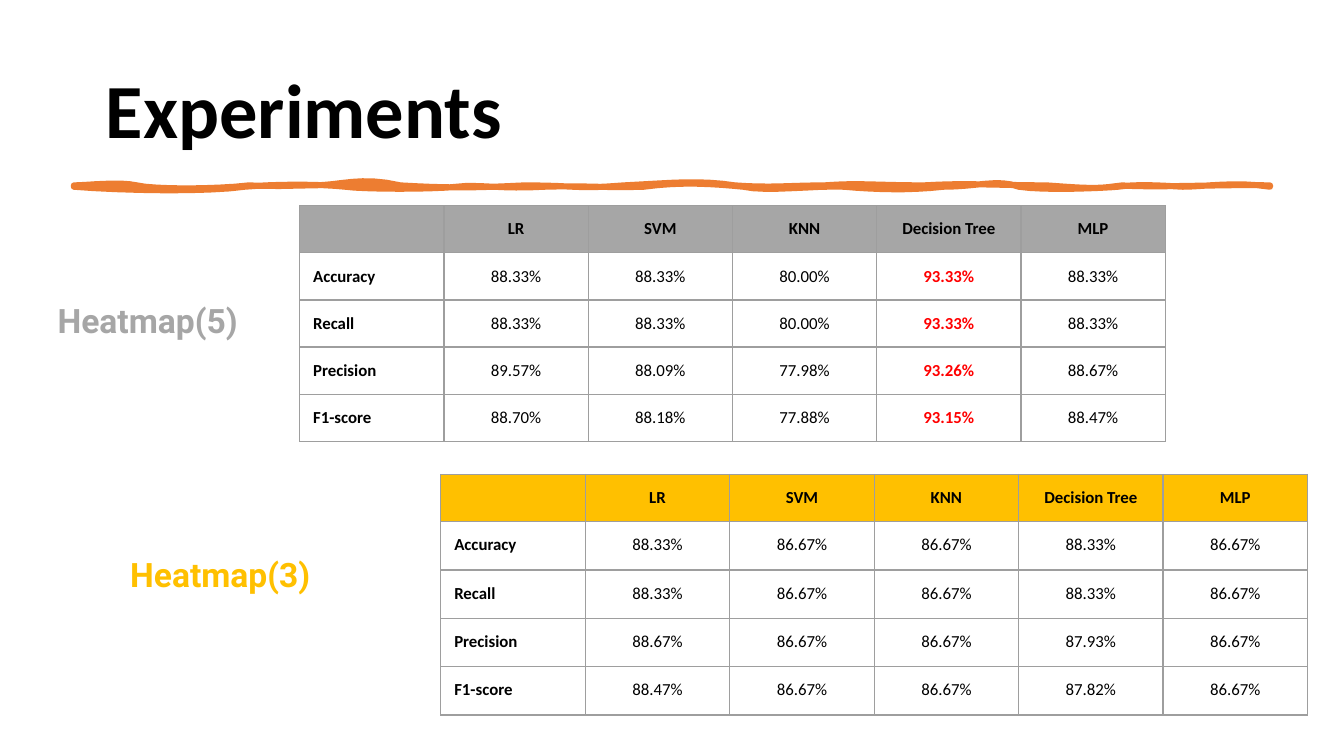
from lxml.etree import SubElement
from pptx import Presentation
from pptx.dml.color import RGBColor
from pptx.enum.text import MSO_ANCHOR, PP_ALIGN
from pptx.oxml.ns import qn
from pptx.util import Inches, Pt

ORANGE, GREY, YELLOW = "ED7D31", "A6A6A6", "FFC000"
BLACK, WHITE, RED, BORDER = "000000", "FFFFFF", "FF0000", "9E9E9E"

MODELS = ["", "LR", "SVM", "KNN", "Decision Tree", "MLP"]
HEATMAP_5 = [
    MODELS,
    ["Accuracy", "88.33%", "88.33%", "80.00%", "93.33%", "88.33%"],
    ["Recall", "88.33%", "88.33%", "80.00%", "93.33%", "88.33%"],
    ["Precision", "89.57%", "88.09%", "77.98%", "93.26%", "88.67%"],
    ["F1-score", "88.70%", "88.18%", "77.88%", "93.15%", "88.47%"],
]
HEATMAP_3 = [
    MODELS,
    ["Accuracy", "88.33%", "86.67%", "86.67%", "88.33%", "86.67%"],
    ["Recall", "88.33%", "86.67%", "86.67%", "88.33%", "86.67%"],
    ["Precision", "88.67%", "86.67%", "86.67%", "87.93%", "86.67%"],
    ["F1-score", "88.47%", "86.67%", "86.67%", "87.82%", "86.67%"],
]
UPPER_EDGE = [
    (0.64, 1.38, 0.89, 1.35, 1.02), (1.14, 1.41, 1.6, 1.41, 1.85),
    (2.13, 1.39, 2.16, 1.38, 2.33), (2.54, 1.38, 2.68, 1.31, 2.98),
    (3.31, 1.4, 3.52, 1.4, 3.9), (4.31, 1.38, 4.28, 1.41, 4.64),
    (5.03, 1.36, 5.2, 1.34, 5.47), (5.73, 1.4, 5.88, 1.38, 6.13),
    (6.41, 1.36, 6.51, 1.38, 6.87), (7.21, 1.36, 7.41, 1.38, 7.79),
    (8.17, 1.41, 8.19, 1.4, 8.35), (8.55, 1.4, 9.13, 1.37, 9.45),
]
LOWER_EDGE = [
    (9.2, 1.35, 8.95, 1.39, 8.8), (8.63, 1.38, 8.45, 1.37, 8.32),
    (8.22, 1.4, 7.77, 1.42, 7.58), (7.43, 1.33, 7.27, 1.39, 7.02),
    (6.76, 1.42, 6.5, 1.41, 6.28), (6.07, 1.38, 5.7, 1.43, 5.53),
    (5.32, 1.37, 5.08, 1.35, 4.79), (4.5, 1.4, 4.35, 1.38, 4.05),
    (3.74, 1.41, 3.56, 1.37, 3.4), (3.23, 1.41, 2.71, 1.41, 2.57),
    (2.38, 1.37, 2.06, 1.37, 1.82), (1.56, 1.43, 0.91, 1.42, 0.55),
]


def rgb(value):
    return RGBColor.from_string(value)


def edge_points(x, y, curves, steps=8):
    points = [(Inches(x), Inches(y))]
    for x1, y1, x2, y2, end in curves:
        for i in range(1, steps + 1):
            t = i / steps
            a, b, c, d = (1 - t) ** 3, 3 * t * (1 - t) ** 2, 3 * t * t * (1 - t), t ** 3
            points.append((Inches(a * x + b * x1 + c * x2 + d * end),
                           Inches(a * y + b * y1 + c * y2 + d * y)))
        x = end
    return points


class Deck:
    """Holds the style and the slide being filled."""

    def __init__(self, s, font="Calibri", accent_font="Roboto"):
        self.s, self.font, self.accent_font = s, font, accent_font

    def style(self, p, size, color, font, bold=True):
        p.font.size, p.font.name, p.font.bold = Pt(size), font, bold
        p.font.color.rgb = rgb(color)

    def text(self, words, box, size, color, font, inset=0.1):
        tf = self.s.shapes.add_textbox(*map(Inches, box)).text_frame
        tf.word_wrap = True
        tf.margin_top = tf.margin_bottom = Inches(inset)
        tf.margin_left = tf.margin_right = Inches(0.1)
        p = tf.paragraphs[0]
        p.text = words
        self.style(p, size, color, font)
        return tf

    def title(self, words, box):
        tf = self.text(words, box, 41, BLACK, self.font, 0.05)
        tf.vertical_anchor = MSO_ANCHOR.MIDDLE
        tf.paragraphs[0].line_spacing = 0.9

    def label(self, words, box, color):
        self.text(words, box, 18, color, self.accent_font)

    def brush_stroke(self, points, color):
        start, *rest = points
        builder = self.s.shapes.build_freeform(*start)
        builder.add_line_segments(rest, close=True)
        sp = builder.convert_to_shape()
        sp.shadow.inherit = False
        sp.fill.solid()
        sp.fill.fore_color.rgb = sp.line.color.rgb = rgb(color)
        sp.line.width = Pt(3.25)

    def border(self, cell):
        tc_pr = cell._tc.get_or_add_tcPr()
        for side in ("a:lnL", "a:lnR", "a:lnT", "a:lnB"):
            ln = SubElement(tc_pr, qn(side), w=str(Pt(0.75)))
            SubElement(SubElement(ln, qn("a:solidFill")), qn("a:srgbClr"), val=BORDER)

    def table(self, rows, left, top, width, heights, header, best=None):
        n = len(rows[0])
        box = map(Inches, (left, top, width, sum(heights)))
        table = self.s.shapes.add_table(len(rows), n, *box).table
        for column in table.columns:
            column.width = Inches(width / n)
        for i, row in enumerate(rows):
            table.rows[i].height = Inches(heights[i])
            for j, words in enumerate(row):
                color = RED if i and j == best else BLACK
                bold = i == 0 or j == 0 or j == best
                self.cell(table.cell(i, j), words, WHITE if i else header,
                          color, bold, PP_ALIGN.CENTER if j else PP_ALIGN.LEFT)

    def cell(self, cell, words, fill, color, bold, align):
        self.border(cell)
        cell.fill.solid()
        cell.fill.fore_color.rgb = rgb(fill)
        cell.margin_left = cell.margin_right = Inches(0.1)
        cell.margin_top = cell.margin_bottom = Inches(0.1 if words else 0)
        p = cell.text_frame.paragraphs[0]
        p.text, p.alignment = words, align
        self.style(p, 9, color, self.font, bold)


def main():
    prs = Presentation()
    prs.slide_width = Inches(10)
    prs.slide_height = prs.slide_width * 9 // 16
    deck = Deck(prs.slides.add_slide(prs.slide_layouts[6]))

    deck.title("Experiments", (0.69, 0.3, 8.62, 1.09))
    deck.brush_stroke(edge_points(0.55, 1.38, UPPER_EDGE)
                      + edge_points(9.45, 1.39, LOWER_EDGE), ORANGE)
    deck.table(HEATMAP_5, 2.23, 1.53, 6.44, [0.35] * 5, GREY,
               best=MODELS.index("Decision Tree"))
    deck.label("Heatmap(5)", (0.33, 2.13, 1.75, 0.5), GREY)
    deck.label("Heatmap(3)", (0.87, 4.02, 2.41, 0.5), YELLOW)
    deck.table(HEATMAP_3, 3.28, 3.53, 6.45, [0.35] + [0.36] * 4, YELLOW)

    prs.save("out.pptx")


if __name__ == "__main__":
    main()
